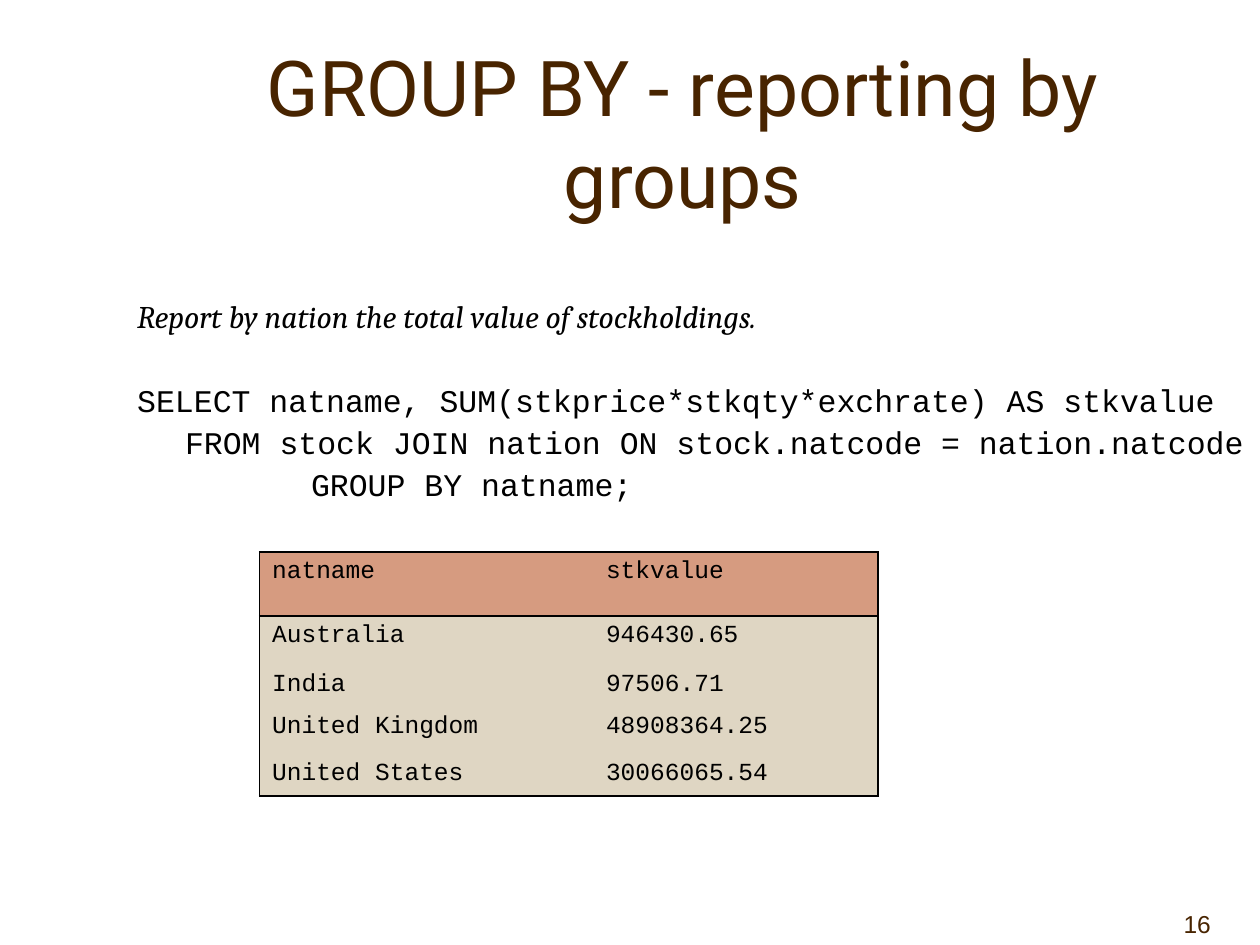
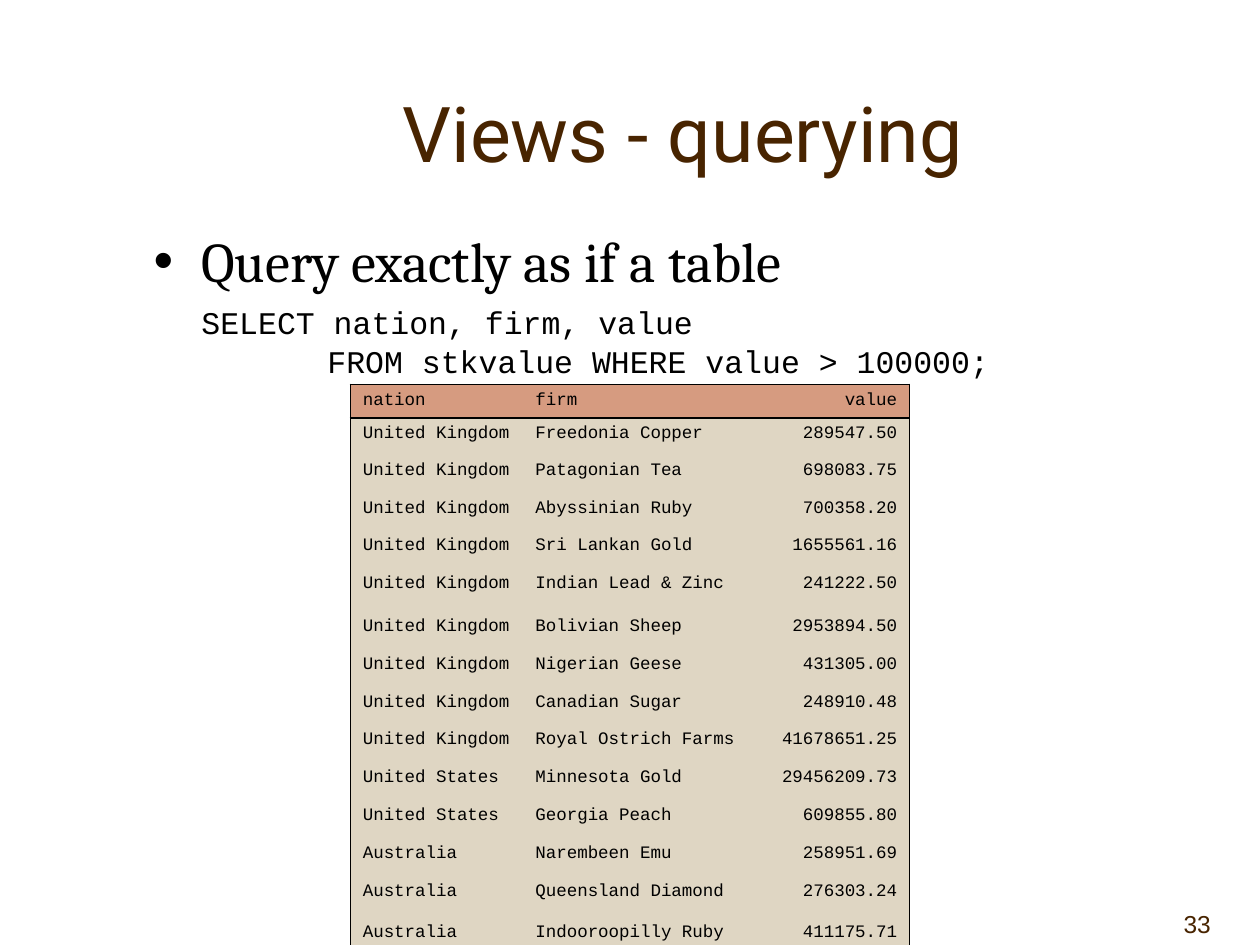
from lxml import etree
from pptx import Presentation
from pptx import util as u
from pptx.dml.color import RGBColor
from pptx.enum import text
from pptx.oxml.ns import qn

COLORS = {"brown": "482400", "ink": "000000", "head": "D69B80", "body": "DFD6C3"}
FONTS = {"title": "Roboto", "prose": "Cambria", "code": "Courier New", "number": "Arial"}
LEFT, CENTER, RIGHT = text.PP_ALIGN.LEFT, text.PP_ALIGN.CENTER, text.PP_ALIGN.RIGHT
COLS, ROWS = 100, 75
HANG = 3.8
TITLE_BOX = (11.7, 4.2, 85, 12.5)
NUMBER_BOX = (90.1, 70, 9.9, 5)

prs = Presentation()
prs.slide_width, prs.slide_height = u.Inches(10), u.Inches(7.5)


def across(n):
    """Return the width of n grid columns."""
    return u.Emu(int(prs.slide_width * n / COLS))


def down(n):
    """Return the height of n grid rows."""
    return u.Emu(int(prs.slide_height * n / ROWS))


def place(box):
    """Turn a grid box into left, top, width and height."""
    x, y, w, h = box
    return across(x), down(y), across(w), down(h)


def assign(target, values):
    """Set each named attribute on the target."""
    for name, value in values.items():
        setattr(target, name, value)


def write(p, words, font, size, color="ink", italic=False, **layout):
    """Fill a paragraph with one formatted run."""
    assign(p, layout)
    r = p.add_run()
    r.text = words
    assign(r.font, {"name": FONTS[font], "size": u.Pt(size), "italic": italic})
    r.font.color.rgb = RGBColor.from_string(COLORS[color])


def indent(p, margin, first=0, bullet=None):
    """Set the paragraph's margin and first line, with an optional bullet."""
    pPr = p._p.get_or_add_pPr()
    pPr.set("marL", str(across(margin)))
    pPr.set("indent", str(across(first)))
    if bullet:
        etree.SubElement(pPr, qn("a:buFont")).set("typeface", "Arial")
        etree.SubElement(pPr, qn("a:buChar")).set("char", bullet)


def add_titled_slide(title, number):
    """Add a slide with its title and page number."""
    s = prs.slides.add_slide(prs.slide_layouts[5])
    sp = s.shapes.title
    assign(sp, dict(zip(("left", "top", "width", "height"), place(TITLE_BOX))))
    tf = sp.text_frame
    assign(tf, {"auto_size": text.MSO_AUTO_SIZE.NONE, "word_wrap": True,
                "vertical_anchor": text.MSO_ANCHOR.MIDDLE})
    write(tf.paragraphs[0], title, "title", 44, "brown", alignment=CENTER)
    tf = s.shapes.add_textbox(*place(NUMBER_BOX)).text_frame
    assign(tf, {"word_wrap": True, "vertical_anchor": text.MSO_ANCHOR.BOTTOM,
                "margin_right": across(3.9)})
    write(tf.paragraphs[0], number, "number", 14, "brown", alignment=RIGHT)
    return s


def add_body(s, box, lines, spacing):
    """Add the body text, one paragraph for each line."""
    tf = s.shapes.add_textbox(*place(box)).text_frame
    tf.word_wrap = True
    for i, (words, style, before, margins) in enumerate(lines):
        p = tf.add_paragraph() if i else tf.paragraphs[0]
        write(p, words, **style, line_spacing=spacing, space_before=u.Pt(before))
        indent(p, *margins)


def set_borders(cell, drawn):
    """Draw the named sides of a cell and clear the others."""
    tcPr = cell._tc.get_or_add_tcPr()
    for i, side in enumerate("LRTB"):
        ln = etree.Element(qn(f"a:ln{side}"), w=str(u.Pt(1)))
        if side in drawn:
            fill = etree.SubElement(ln, qn("a:solidFill"))
            etree.SubElement(fill, qn("a:srgbClr")).set("val", COLORS["ink"])
        else:
            etree.SubElement(ln, qn("a:noFill"))
        tcPr.insert(i, ln)


def add_result(s, box, widths, heights, rows, size, aligns):
    """Add a query result: a header row over a framed body."""
    n, m = len(rows), len(widths)
    table = s.shapes.add_table(n, m, *place(box)).table
    assign(table, {"first_row": False, "horz_banding": False})
    for col, width in zip(table.columns, widths):
        col.width = across(width)
    for i, (row, height) in enumerate(zip(rows, heights)):
        table.rows[i].height = down(height)
        for j, (words, align) in enumerate(zip(row, aligns)):
            cell = table.cell(i, j)
            write(cell.text_frame.paragraphs[0], words, "code", size, alignment=align)
            cell.fill.solid()
            cell.fill.fore_color.rgb = RGBColor.from_string(COLORS["body" if i else "head"])
            sides = {"L": j == 0, "R": j == m - 1, "T": i < 2, "B": i in (0, n - 1)}
            set_borders(cell, [side for side, shown in sides.items() if shown])


CODE = {"font": "code", "size": 18}
QUESTION = {"font": "prose", "size": 18, "italic": True}
POINT = {"font": "prose", "size": 32}

NATIONS = [
    ("natname", "stkvalue"),
    ("Australia", "946430.65"),
    ("India", "97506.71"),
    ("United Kingdom", "48908364.25"),
    ("United States", "30066065.54"),
]
HOLDINGS = {
    "United Kingdom": [
        ("Freedonia Copper", "289547.50"), ("Patagonian Tea", "698083.75"),
        ("Abyssinian Ruby", "700358.20"), ("Sri Lankan Gold", "1655561.16"),
        ("Indian Lead & Zinc", "241222.50"), ("Bolivian Sheep", "2953894.50"),
        ("Nigerian Geese", "431305.00"), ("Canadian Sugar", "248910.48"),
        ("Royal Ostrich Farms", "41678651.25")],
    "United States": [("Minnesota Gold", "29456209.73"), ("Georgia Peach", "609855.80")],
    "Australia": [
        ("Narembeen Emu", "258951.69"), ("Queensland Diamond", "276303.24"),
        ("Indooroopilly Ruby", "411175.71")],
}


def build_group_by():
    """Build the slide on reporting by groups."""
    s = add_titled_slide("GROUP BY - reporting by groups", "16")
    add_body(s, (9.9, 23.4, 90.1, 17.8), [
        ("Report by nation the total value of stockholdings.", QUESTION, 0, (HANG, -HANG)),
        ("SELECT natname, SUM(stkprice*stkqty*exchrate) AS stkvalue", CODE, 28.5, (HANG, -HANG)),
        ("FROM stock JOIN nation ON stock.natcode = nation.natcode", CODE, 4.5, (HANG,)),
        ("GROUP BY natname;", CODE, 4.5, (HANG + 10,)),
    ], 0.9)
    add_result(s, (20.6, 43.8, 49.1, 19.4), (26.5, 22.6), (5.1, 3.9, 3.3, 3.7, 3.3),
               NATIONS, 14, (LEFT, LEFT))


def build_views():
    """Build the slide on querying a view."""
    s = add_titled_slide("Views - querying", "33")
    add_body(s, (11.2, 17.5, 88.8, 43.3), [
        ("Query exactly as if a table", POINT, 0, (HANG, -HANG, "\u2022")),
        ("SELECT nation, firm, value", CODE, 5, (HANG,)),
        ("FROM stkvalue WHERE value > 100000;", CODE, 1, (HANG + 10,)),
    ], 1.0)
    rows = [("nation", "firm", "value")]
    rows += [(nation, *holding) for nation, group in HOLDINGS.items() for holding in group]
    heights = [2.2, 2.9] + [3] * 3 + [3.4] + [3] * 7 + [3.3, 2]
    add_result(s, (27.8, 30.5, 44.4, 44.5), (13.7, 18.5, 12.2), heights,
               rows, 10, (LEFT, LEFT, RIGHT))


build_group_by()
build_views()
prs.save("out.pptx")
